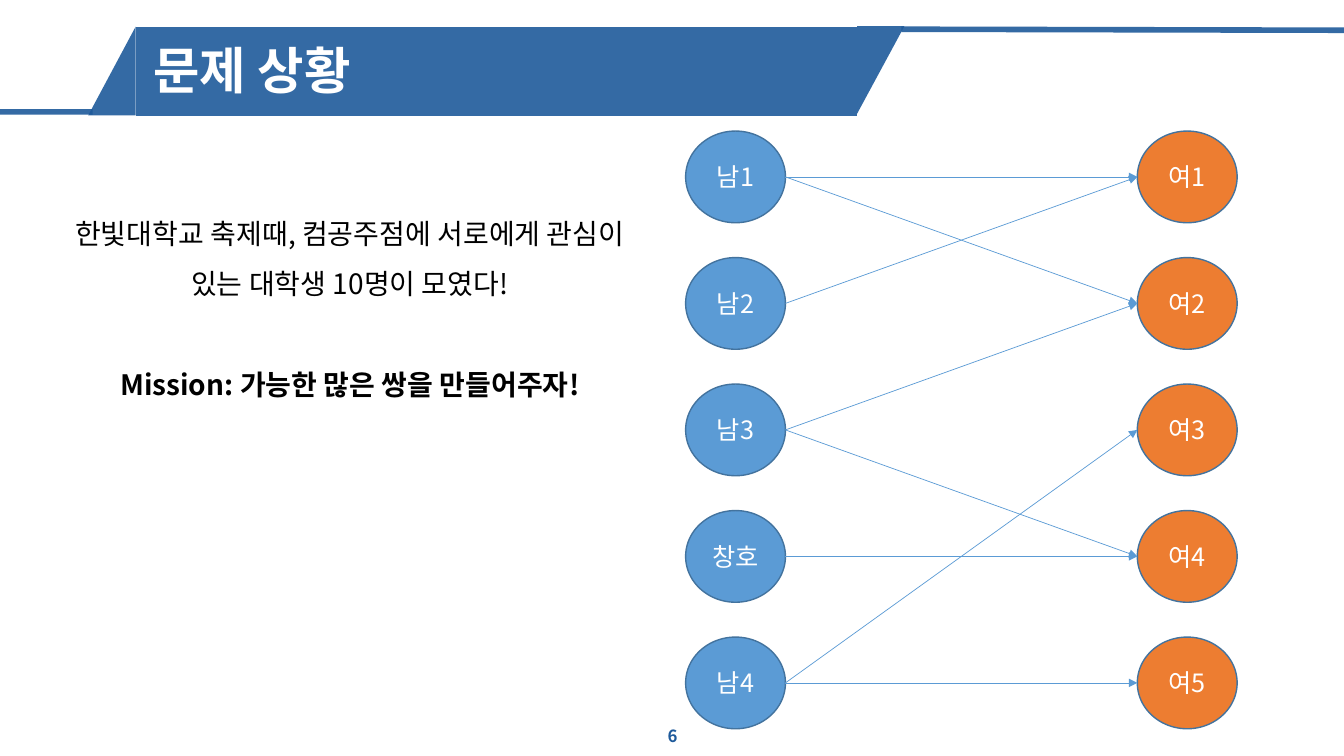
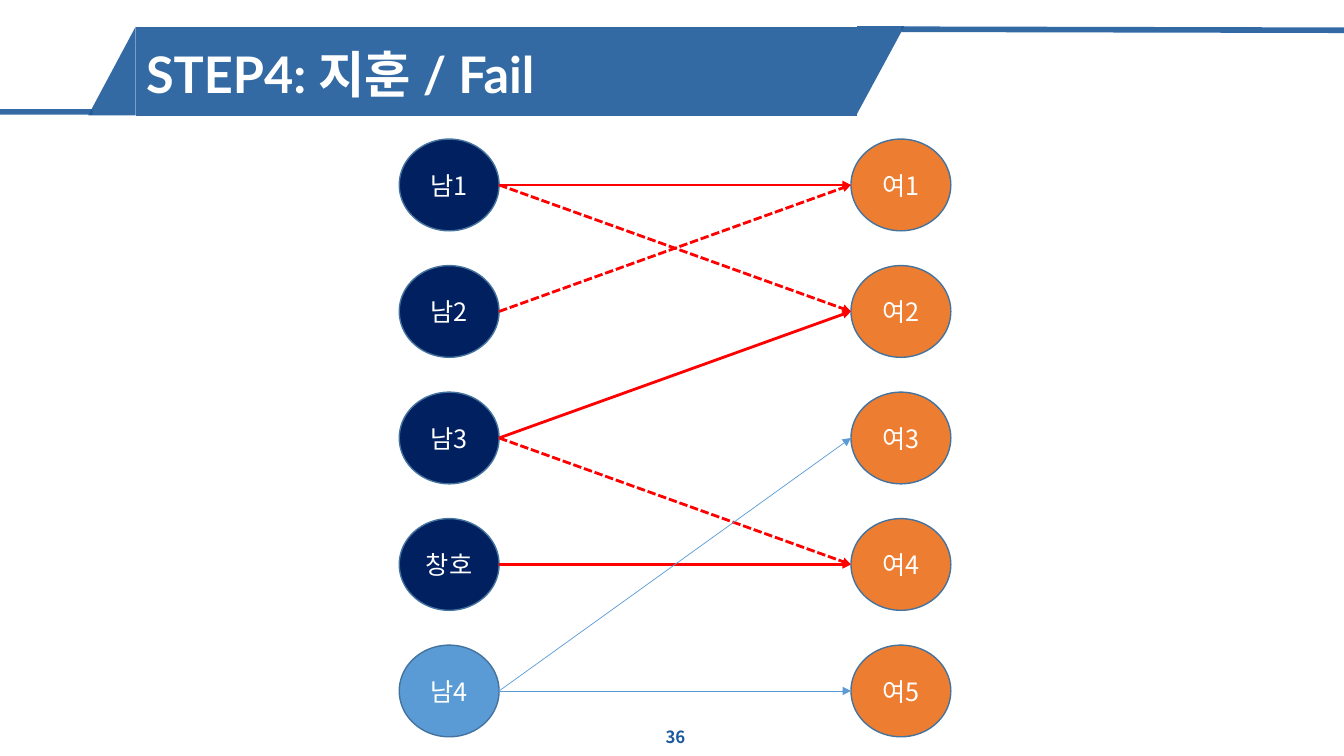
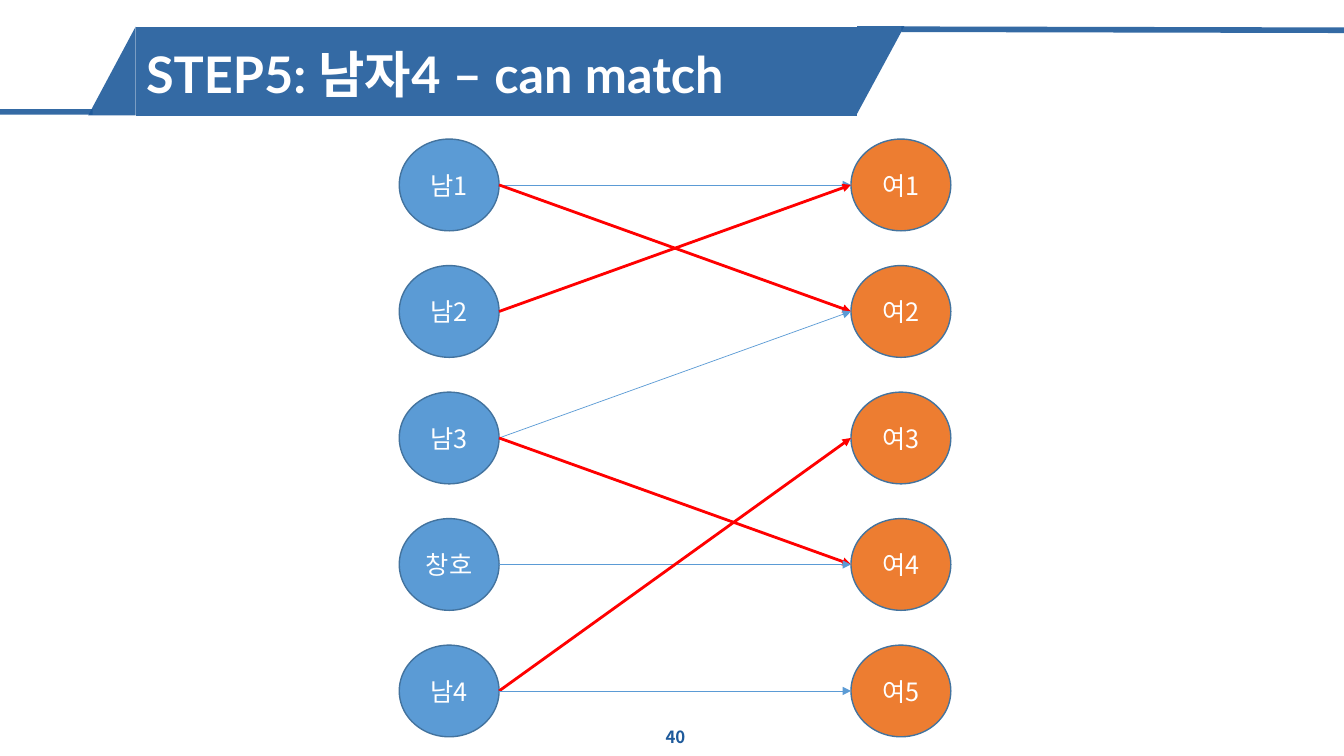
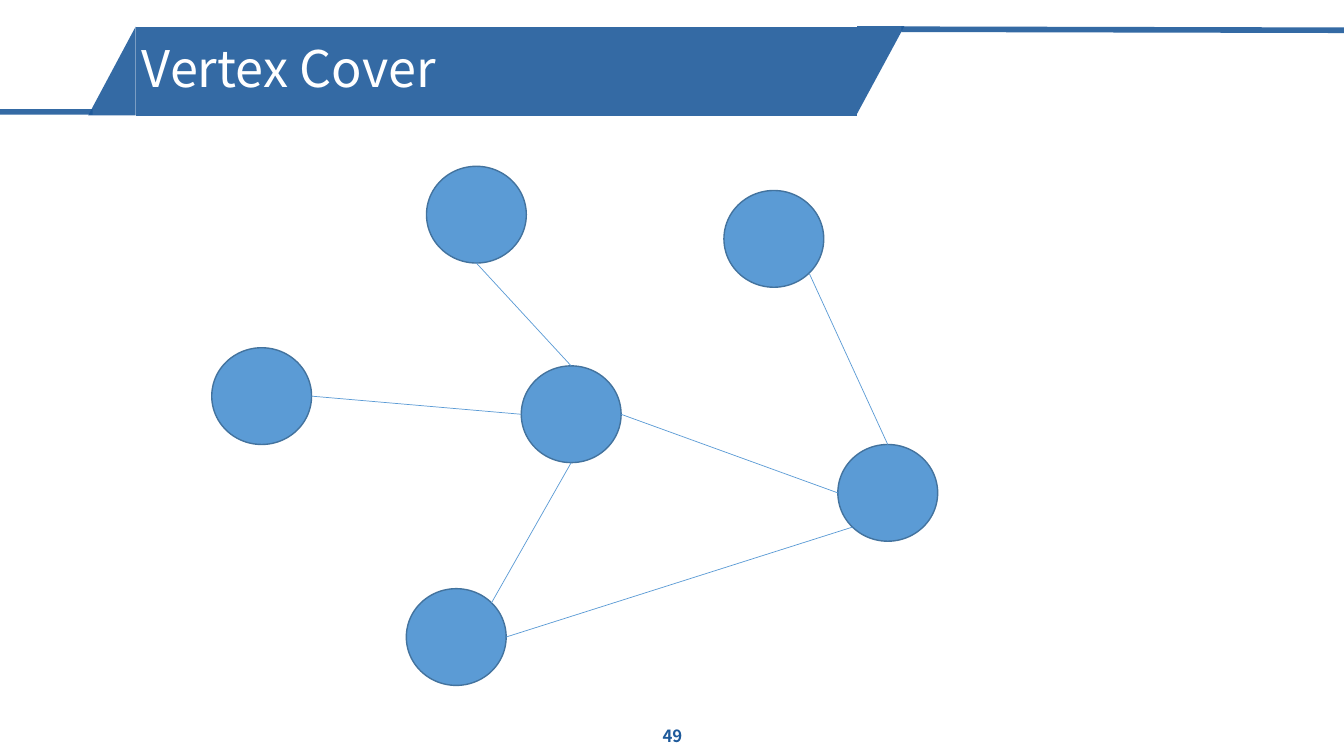
from dataclasses import dataclass
from math import cos, radians, sin

from lxml.etree import SubElement as Sub
from pptx import Presentation
from pptx.dml.color import RGBColor as Rgb
from pptx.enum.dml import MSO_LINE as Dash
from pptx.enum.shapes import MSO_CONNECTOR as Link, MSO_SHAPE as Form
from pptx.enum.text import MSO_ANCHOR as Anchor, PP_ALIGN as Align
from pptx.oxml.ns import qn
from pptx.util import Inches, Pt


@dataclass(frozen=True)
class Theme:
    """Colours, fonts and type sizes of the deck."""
    band: str = "1E5A9B"
    white: str = "FFFFFF"
    black: str = "000000"
    blue: str = "5B9BD5"
    navy: str = "002060"
    orange: str = "ED7D31"
    rim: str = "43739E"
    red: str = "FF0000"
    latin: str = "Lato"
    hangul: str = "Noto Sans CJK KR"
    title: int = 36
    body: int = 20
    node: int = 18
    page: int = 12
    alpha: int = 90


T = Theme()
COLS, ROWS = 1333, 750
TOP, LEFT, BASE, RIGHT = 0, 2, 4, 6
MEN = ("남1", "남2", "남3", "창호", "남4")
WOMEN = ("여1", "여2", "여3", "여4", "여5")
PAIRS = ((0, 0), (0, 1), (1, 0), (2, 1), (2, 3), (3, 3), (4, 2), (4, 4))
SPOTS = ((213, 0), (0, 180), (307, 198), (193, 419), (621, 276), (508, 24))
EDGES = ((2, LEFT, 1, RIGHT), (2, BASE, 3, 7), (5, 5, 4, TOP),
         (2, RIGHT, 4, LEFT), (4, 3, 3, RIGHT), (0, BASE, 2, TOP))


def grid(*cells):
    """Turn grid cells, a hundredth of an inch each, into lengths."""
    return [Inches(cell / 100) for cell in cells]


def fade(part):
    """Make the solid colour in a shape or line see-through."""
    tone = part.element.spPr.find(".//" + qn("a:srgbClr"))
    Sub(tone, qn("a:alpha")).set("val", str(T.alpha * 1000))


def write(para, text, size, tone, bold=False, font=T.hangul):
    """Add one styled run to a paragraph."""
    run = para.add_run()
    run.text = text
    run.font.size, run.font.bold, run.font.name = Pt(size), bold, font
    run.font.color.rgb = Rgb.from_string(tone)
    Sub(run.font._element, qn("a:ea")).set("typeface", T.hangul)


def frame(slide, box, anchor=Anchor.MIDDLE):
    """Add a wrapping text box and return its text frame."""
    text = slide.shapes.add_textbox(*grid(*box)).text_frame
    text.word_wrap, text.vertical_anchor = True, anchor
    return text


def solid(shapes, form, box, tone, rim=None):
    """Add a flat filled shape, with an optional outline."""
    shape = shapes.add_shape(form, *grid(*box))
    shape.shadow.inherit = False
    shape.fill.solid()
    shape.fill.fore_color.rgb = Rgb.from_string(tone)
    if rim:
        shape.line.color.rgb = Rgb.from_string(rim)
        shape.line.width = Pt(1)
    else:
        shape.line.fill.background()
    return shape


def stroke(shapes, ends, tone, width, dash=None):
    """Add a straight line without shadow."""
    line = shapes.add_connector(Link.STRAIGHT, *ends)
    line.line.color.rgb = Rgb.from_string(tone)
    line.line.width = Pt(width)
    if dash:
        line.line.dash_style = dash
    Sub(line.element.spPr, qn("a:effectLst"))
    return line


def node(shapes, box, tone, label=""):
    """Add a round graph node."""
    disc = solid(shapes, Form.OVAL, box, tone, T.rim)
    if label:
        text = disc.text_frame
        text.word_wrap, text.vertical_anchor = False, Anchor.MIDDLE
        text.paragraphs[0].alignment = Align.CENTER
        write(text.paragraphs[0], label, T.node, T.white)
    return disc


def site(disc, index):
    """Find one of the eight joints of a disc, counted leftwards from the top."""
    turn = radians(90 + 45 * index)
    return (round(disc.left + disc.width * (1 + cos(turn)) / 2),
            round(disc.top + disc.height * (1 - sin(turn)) / 2))


def join(shapes, start, out, stop, into, tone=T.blue, width=0.5, dash=None, arrow=False):
    """Tie two discs together at the given joints."""
    line = stroke(shapes, site(start, out) + site(stop, into), tone, width, dash)
    ties = line.element.nvCxnSpPr.cNvCxnSpPr
    for tag, disc, index in (("a:stCxn", start, out), ("a:endCxn", stop, into)):
        tie = Sub(ties, qn(tag))
        tie.set("id", str(disc.shape_id))
        tie.set("idx", str(index))
    if arrow:
        Sub(line.element.spPr.find(qn("a:ln")), qn("a:tailEnd")).set("type", "triangle")


def band(deck):
    """Draw the title band and move it to the blank layout."""
    layout = deck.slide_layouts[6]
    for holder in list(layout.placeholders):
        holder.element.getparent().remove(holder.element)
    slide = deck.slides.add_slide(layout)
    shapes = slide.shapes
    for form, box, turn in ((Form.RIGHT_TRIANGLE, (830, 46, 87, 47), 90),
                            (Form.RIGHT_TRIANGLE, (67, 47, 88, 47), 270),
                            (Form.RECTANGLE, (135, 27, 715, 88), 0)):
        solid(shapes, form, box, T.band).rotation = turn
    for ends in ((92, 111, -3, 111), (COLS, 30, 894, 29)):
        stroke(shapes, grid(*ends), T.band, 4)
    for part in list(shapes):
        fade(part)
        layout.shapes.element.append(part.element)
    return slide


def head(slide, box, text, bold=True, font=T.latin):
    """Write the slide title in the band."""
    para = frame(slide, box).paragraphs[0]
    para.line_spacing, para.space_before = 0.9, Pt(10)
    write(para, text, T.title, T.white, bold, font)


def foot(slide, box, number):
    """Write the page number."""
    para = frame(slide, box).paragraphs[0]
    para.alignment = Align.CENTER
    write(para, number, T.page, T.band, True)


def story(slide, box, parts):
    """Write centred paragraphs, each given as text, boldness and gap."""
    text = frame(slide, box, Anchor.TOP)
    for index, (words, bold, gap) in enumerate(parts):
        para = text.add_paragraph() if index else text.paragraphs[0]
        para.alignment, para.line_spacing = Align.CENTER, 1.5
        para.space_before = Pt(gap)
        write(para, words, T.body, T.black, bold)


def match(slide, box, dark=(), hot=(), cut=()):
    """Draw the two columns of nodes and the arrows between them."""
    left, top, width, height = box
    wide, high = 99, 91
    step = (height - high) / (len(MEN) - 1)
    shapes = slide.shapes.add_group_shape().shapes
    men, women = [], []
    for row, (man, woman) in enumerate(zip(MEN, WOMEN)):
        y = top + row * step
        tone = T.navy if row in dark else T.blue
        men.append(node(shapes, (left, y, wide, high), tone, man))
        women.append(node(shapes, (left + width - wide, y, wide, high), T.orange, woman))
    for pair in PAIRS:
        look = {}
        if pair in hot or pair in cut:
            look = dict(tone=T.red, width=2, dash=Dash.SQUARE_DOT if pair in cut else None)
        join(shapes, men[pair[0]], RIGHT, women[pair[1]], LEFT, arrow=True, **look)


def cover(slide, box):
    """Draw the plain graph of six nodes."""
    left, top, wide, high = box
    discs = [node(slide.shapes, (left + x, top + y, wide, high), T.blue) for x, y in SPOTS]
    for start, out, stop, into in EDGES:
        join(slide.shapes, discs[start], out, discs[stop], into)


def main():
    """Build the deck."""
    deck = Presentation()
    deck.slide_width, deck.slide_height = grid(COLS, ROWS)
    first = band(deck)
    fail, fit, last = (deck.slides.add_slide(first.slide_layout) for _ in range(3))
    wide, slim = (517, 710, 300, 40), (523, 711, 294, 39)
    step, plot = (135, 36, 715, 81), (396, 138, 547, 593)

    head(first, (131, 32, 715, 81), " 문제 상황")
    foot(first, wide, "6")
    story(first, (59, 193, 576, 212), (
        ("한빛대학교 축제때, 컴공주점에 서로에게 관심이 있는 대학생 10명이 모였다!", False, 0),
        ("Mission: 가능한 많은 쌍을 만들어주자!", True, 36)))
    match(first, (680, 130, 547, 593))

    head(fail, step, "STEP4: 지훈 / Fail")
    foot(fail, slim, "36")
    match(fail, plot, dark=range(4), hot=((0, 0), (2, 1), (3, 3)),
          cut=((0, 1), (1, 0), (2, 3)))

    head(fit, step, "STEP5: 남자4 – can match")
    foot(fit, slim, "40")
    match(fit, plot, hot=((0, 1), (1, 0), (2, 3), (4, 2)))

    head(last, (131, 30, 715, 81), "Vertex Cover", False, T.hangul)
    foot(last, wide, "49")
    cover(last, (210, 165, 99, 96))
    deck.save("out.pptx")


if __name__ == "__main__":
    main()
